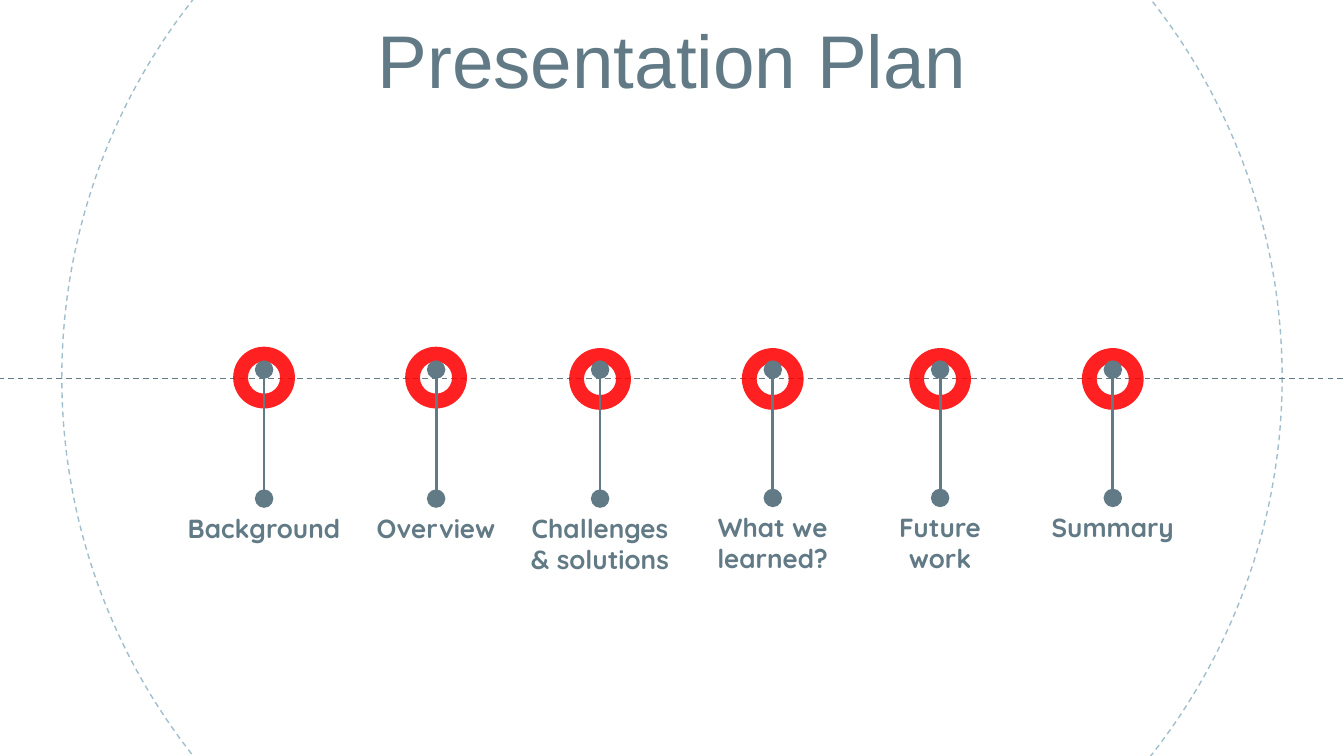
from lxml import etree
from pptx import Presentation
from pptx.dml.color import RGBColor
from pptx.enum.dml import MSO_LINE
from pptx.enum.shapes import MSO_CONNECTOR, MSO_SHAPE
from pptx.enum.text import MSO_ANCHOR, PP_ALIGN
from pptx.oxml.ns import qn
from pptx.util import Emu, Pt

DASH = MSO_LINE.DASH
STRAIGHT = MSO_CONNECTOR.STRAIGHT
ELLIPSE = MSO_SHAPE.OVAL
DONUT = MSO_SHAPE.DONUT
TOP, BOTTOM = MSO_ANCHOR.TOP, MSO_ANCHOR.BOTTOM
CENTER = PP_ALIGN.CENTER

EMU_PER_PX = 4572  # 200 px to the inch
WIDTH, HEIGHT = 2000, 1125
AXIS_Y = 563
RING_SIZE = 92
PIN_TOP = 550
LABEL_WIDTH, LABEL_HEIGHT = 272, 90

# Centre of each step, middle of its ring, top of its label, and its name
STEPS = [
    (393, 562, 742, "Background"),
    (649, 562, 742, "Overview"),
    (893, 564, 742, "Challenges & solutions"),
    (1150, 564, 741, "What we\nlearned?"),
    (1399, 564, 741, "Future\nwork"),
    (1656, 564, 741, "Summary"),
]


def px(length):
    return Emu(length * EMU_PER_PX)


def color(hex_string):
    return RGBColor.from_string(hex_string)


class PlanSlide:
    SLATE, PALE, RED = "617A86", "A1BECC", "FF0000"
    TITLE_FONT, LABEL_FONT = "Arial", "Quicksand"

    def __init__(self, slide):
        self.shapes = slide.shapes

    def text(self, content, left, top, width, height, *, size, font,
             bold=False, anchor=TOP):
        box = self.shapes.add_textbox(px(left), px(top), px(width), px(height))
        frame = box.text_frame
        frame.word_wrap = True
        frame.vertical_anchor = anchor
        frame.margin_left = frame.margin_right = px(20)
        frame.margin_top = frame.margin_bottom = px(20)
        frame.text = content
        for paragraph in frame.paragraphs:
            paragraph.alignment = CENTER
            for run in paragraph.runs:
                run.font.name = font
                run.font.size = Pt(size)
                run.font.bold = bold
                run.font.color.rgb = color(self.SLATE)
        return box

    def line(self, start, end, weight):
        connector = self.shapes.add_connector(
            STRAIGHT, *(px(value) for value in (*start, *end)))
        connector.line.color.rgb = color(self.SLATE)
        connector.line.width = Pt(weight)
        etree.SubElement(connector._element.spPr, qn("a:effectLst"))
        return connector

    def axis(self, y):
        self.line((-2, y), (WIDTH + 2, y), 0.75).line.dash_style = DASH

    def orbit(self, left, top, size):
        """Draw the large dashed circle behind the plan."""
        circle = self.shapes.add_shape(
            ELLIPSE, px(left), px(top), px(size), px(size))
        circle.shadow.inherit = False
        circle.fill.background()
        circle.line.color.rgb = color(self.PALE)
        circle.line.width = Pt(0.75)
        circle.line.dash_style = DASH

    def ring(self, x, y):
        ring = self.shapes.add_shape(
            DONUT, px(x - RING_SIZE // 2), px(y - RING_SIZE // 2),
            px(RING_SIZE), px(RING_SIZE))
        ring.adjustments[0] = 0.24
        ring.shadow.inherit = False
        ring.fill.solid()
        ring.fill.fore_color.rgb = color(self.RED)
        ring.line.fill.background()
        fill_color = ring._element.spPr.find(qn("a:solidFill"))[0]
        etree.SubElement(fill_color, qn("a:alpha"), val="87000")

    def pin(self, x, label_top, label):
        """Join the label to the axis with a line that has round ends."""
        pin = self.line((x, label_top), (x, PIN_TOP), 1.5)
        pin.begin_connect(label, 0)
        outline = pin.line._get_or_add_ln()
        for end in ("a:headEnd", "a:tailEnd"):
            etree.SubElement(outline, qn(end), type="oval", w="lg", len="lg")

    def step(self, x, ring_y, label_top, name):
        self.ring(x, ring_y)
        label = self.text(name, x - LABEL_WIDTH // 2, label_top,
                          LABEL_WIDTH, LABEL_HEIGHT,
                          size=14, font=self.LABEL_FONT, bold=True)
        self.pin(x, label_top, label)


def main():
    deck = Presentation()
    deck.slide_width, deck.slide_height = px(WIDTH), px(HEIGHT)
    plan = PlanSlide(deck.slides.add_slide(deck.slide_layouts[6]))
    plan.orbit(92, -346, 1816)
    plan.axis(AXIS_Y)
    plan.text("Presentation Plan", 423, 34, 1154, 140,
              size=40, font=plan.TITLE_FONT, anchor=BOTTOM)
    for step in STEPS:
        plan.step(*step)
    deck.save("out.pptx")


if __name__ == "__main__":
    main()
